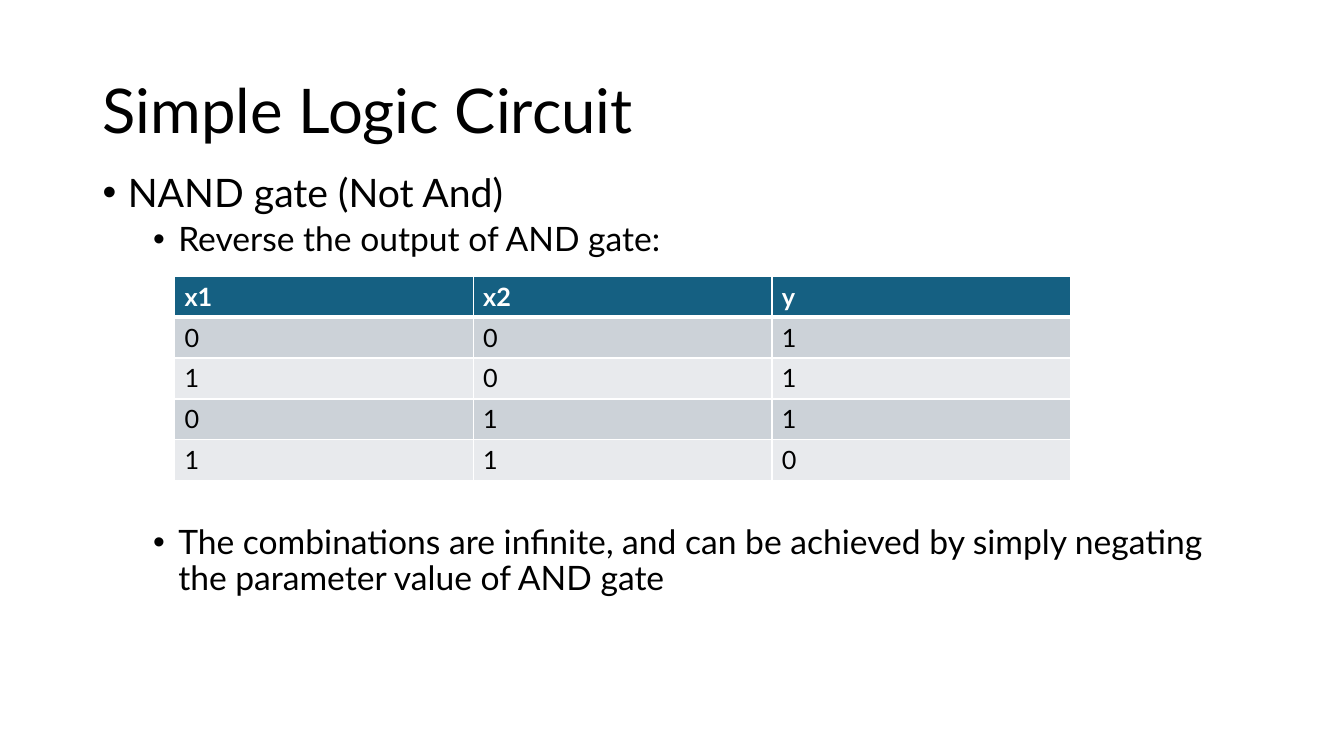
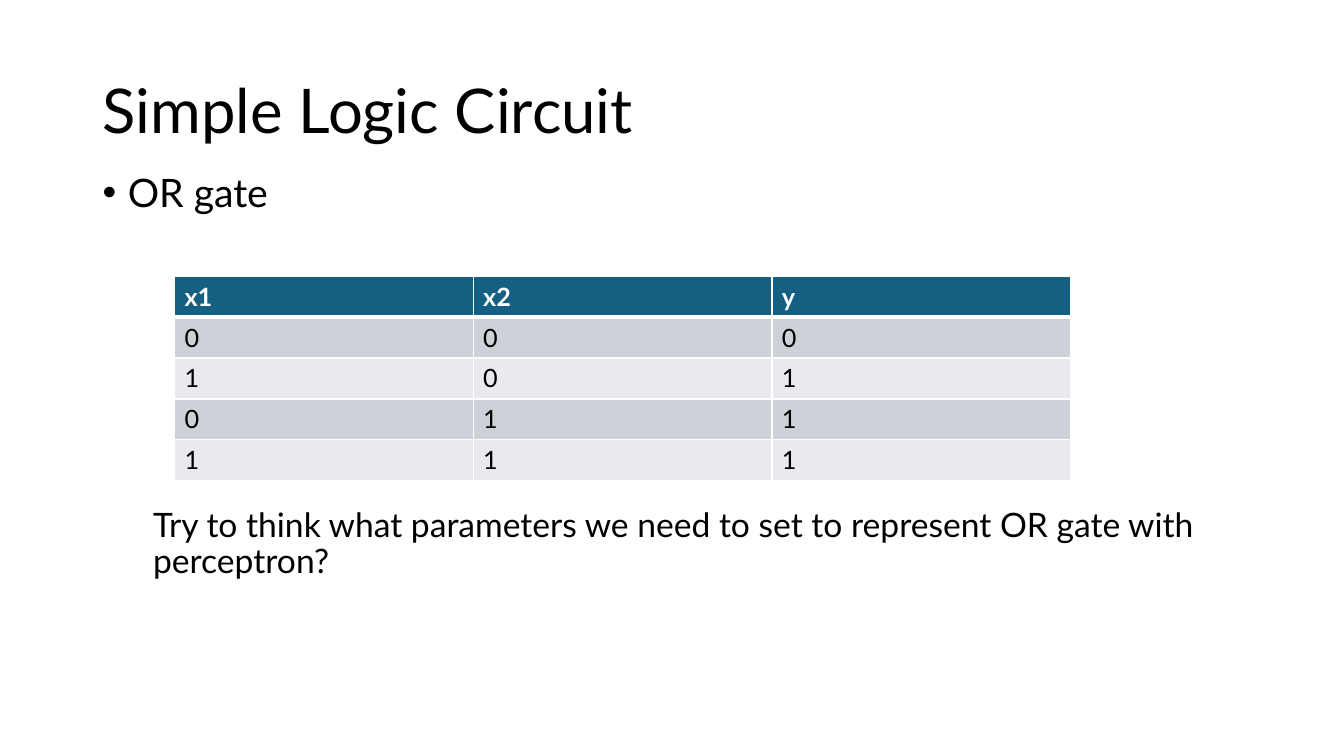
from dataclasses import dataclass

from lxml import etree
from pptx import Presentation
from pptx.dml.color import RGBColor
from pptx.enum.text import MSO_ANCHOR, MSO_AUTO_SIZE, PP_ALIGN
from pptx.oxml.ns import qn
from pptx.util import Inches, Pt

LEFT = PP_ALIGN.LEFT
MIDDLE = MSO_ANCHOR.MIDDLE
TOP = MSO_ANCHOR.TOP
FIXED = MSO_AUTO_SIZE.NONE
TITLE_ONLY = 5


@dataclass(frozen=True)
class Theme:
    """Hold the colours, font and type sizes that the slides share."""
    font: str = "Lato"
    ink: RGBColor = RGBColor(0, 0, 0)
    paper: RGBColor = RGBColor(0xFF, 0xFF, 0xFF)
    head: RGBColor = RGBColor(0x15, 0x60, 0x82)
    bands: tuple = (RGBColor(0xCC, 0xD2, 0xD8), RGBColor(0xE8, 0xEA, 0xED))
    title: int = 44
    topic: int = 28
    point: int = 24
    cell: int = 18
    leading: float = 0.9
    rule: int = 1
    thick: int = 3


THEME = Theme()
TITLE_BOX = (0.92, 0.4, 11.5, 1.45)
BODY_BOX = (0.92, 1.67, 11.5, 5.09)
TABLE_BOX = (1.73, 2.74, 8.89, 2.03)
TITLE = "Simple Logic Circuit"
INPUTS = ((0, 0), (1, 0), (0, 1), (1, 1))


@dataclass(frozen=True)
class Item:
    """Describe one body paragraph: level, gap above, indents and bullet."""
    text: str
    level: int = 1
    gap: float = 5
    margin: float = 0.75
    hang: float = 0.25
    bullet: bool = True


def topic(text):
    """Return a top-level item."""
    return Item(text, level=0, gap=10, margin=0.25)


def style(para, size, color=THEME.ink, bold=False):
    """Format the runs of a paragraph."""
    for run in para.runs:
        font = run.font
        font.name, font.size, font.bold = THEME.font, Pt(size), bold
        font.color.rgb = color


def add_title(slide, text, box):
    """Place and format the title."""
    shape = slide.shapes.title
    shape.left, shape.top, shape.width, shape.height = map(Inches, box)
    frame = shape.text_frame
    frame.text = text
    frame.auto_size, frame.vertical_anchor = FIXED, MIDDLE
    para = frame.paragraphs[0]
    para.alignment, para.line_spacing = LEFT, THEME.leading
    style(para, THEME.title)


def add_body(slide, items, box):
    """Place the list of items in one text box."""
    frame = slide.shapes.add_textbox(*map(Inches, box)).text_frame
    frame.word_wrap, frame.vertical_anchor = True, TOP
    for index, item in enumerate(items):
        para = frame.add_paragraph() if index else frame.paragraphs[0]
        para.text, para.level = item.text, item.level
        para.line_spacing, para.space_before = THEME.leading, Pt(item.gap)
        style(para, THEME.point if item.level else THEME.topic)
        props = para._p.get_or_add_pPr()
        props.set("marL", str(Inches(item.margin)))
        props.set("indent", str(-Inches(item.hang)))
        if item.bullet:
            etree.SubElement(props, qn("a:buFont")).set("typeface", "Arial")
            etree.SubElement(props, qn("a:buChar")).set("char", "•")


def add_rules(cell, top, bottom):
    """Draw the four borders of a cell, with top and bottom widths in points."""
    props = cell._tc.get_or_add_tcPr()
    widths = {"L": THEME.rule, "R": THEME.rule, "T": top, "B": bottom}
    for index, (side, width) in enumerate(widths.items()):
        line = etree.Element(qn(f"a:ln{side}"), w=str(Pt(width)))
        fill = etree.SubElement(line, qn("a:solidFill"))
        etree.SubElement(fill, qn("a:srgbClr")).set("val", str(THEME.paper))
        props.insert(index, line)


def add_table(slide, outputs, box):
    """Place the truth table of a gate."""
    rows = [("x1", "x2", "y")]
    rows += [(*pair, out) for pair, out in zip(INPUTS, outputs)]
    count, width = len(rows), len(rows[0])
    table = slide.shapes.add_table(count, width, *map(Inches, box)).table
    for col in table.columns:
        col.width = Inches(box[2] / width)
    for r, row in enumerate(rows):
        table.rows[r].height = Inches(box[3] / count)
        for c, value in enumerate(row):
            cell = table.cell(r, c)
            cell.text_frame.text = str(value)
            cell.fill.solid()
            cell.fill.fore_color.rgb = THEME.bands[(r - 1) % 2] if r else THEME.head
            style(cell.text_frame.paragraphs[0], THEME.cell,
                  THEME.ink if r else THEME.paper, bold=r == 0)
            add_rules(cell, THEME.thick if r == 1 else THEME.rule,
                      THEME.rule if r else THEME.thick)


def add_gate(deck, items, outputs):
    """Add a slide for one logic gate."""
    slide = deck.slides.add_slide(deck.slide_layouts[TITLE_ONLY])
    add_title(slide, TITLE, TITLE_BOX)
    add_body(slide, items, BODY_BOX)
    add_table(slide, outputs, TABLE_BOX)


def main():
    """Build and save the deck."""
    deck = Presentation()
    deck.slide_width, deck.slide_height = Inches(13.33), Inches(7.5)
    add_gate(deck, (
        topic("NAND gate (Not And)"),
        Item("Reverse the output of AND gate:"),
        Item("The combinations are infinite, and can be achieved by simply "
             "negating the parameter value of AND gate", gap=190.5),
    ), (1, 1, 1, 0))
    add_gate(deck, (
        topic("OR gate"),
        Item("Try to think what parameters we need to set to represent "
             "OR gate with perceptron?", gap=209, margin=0.5, hang=0, bullet=False),
    ), (0, 1, 1, 1))
    deck.save("out.pptx")


if __name__ == "__main__":
    main()
